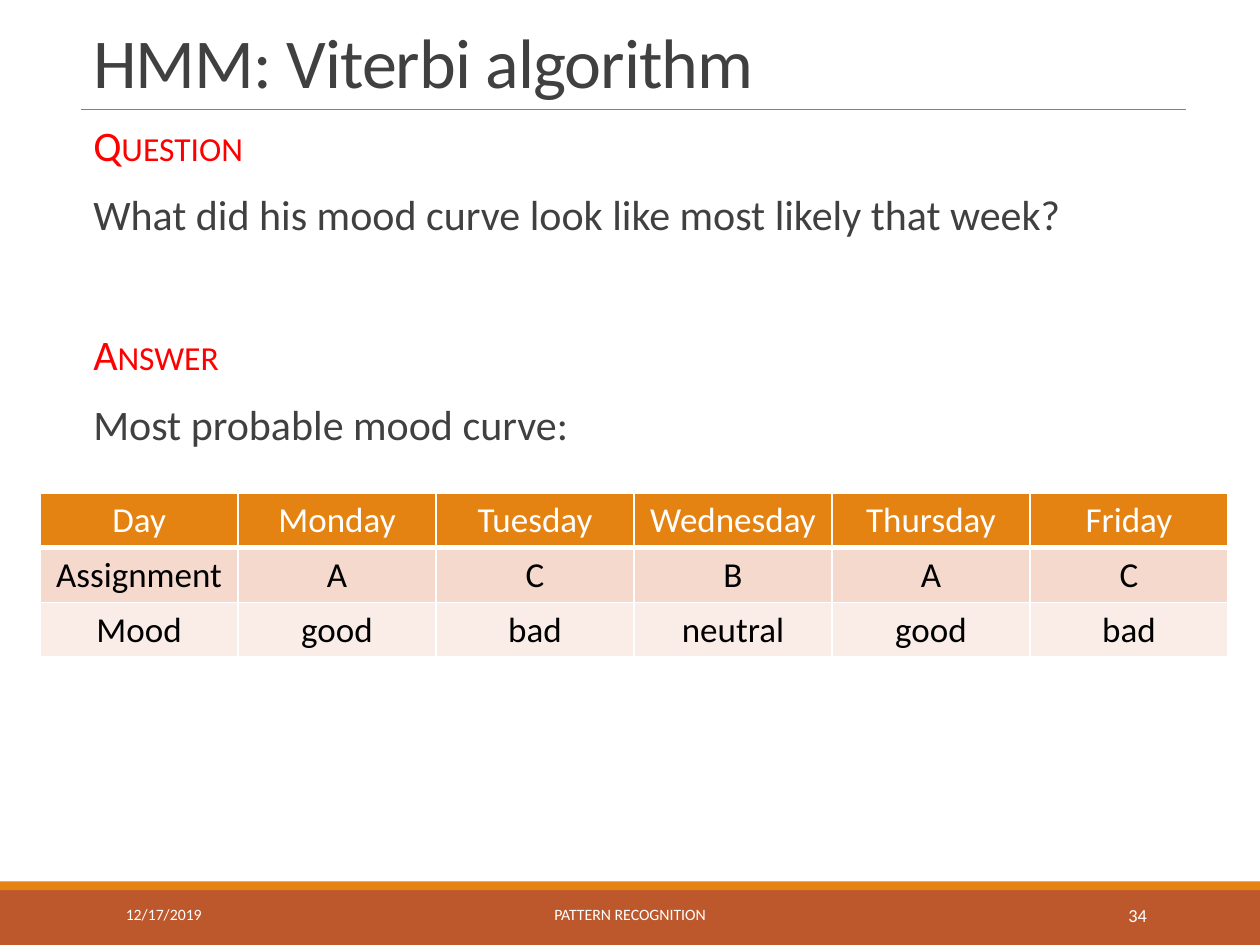
from lxml import etree
from pptx import Presentation
from pptx.dml.color import RGBColor
from pptx.enum import shapes, text
from pptx.oxml import ns
from pptx.util import Pt

FONT = "Calibri"
WHITE = RGBColor(0xFF, 0xFF, 0xFF)
BLACK = RGBColor(0, 0, 0)
RED = RGBColor(0xFF, 0, 0)
DARK_GREY = RGBColor(0x40, 0x40, 0x40)
RULE_GREY = RGBColor(0x80, 0x80, 0x80)
ORANGE = RGBColor(0xE4, 0x83, 0x12)
RUST = RGBColor(0xBD, 0x58, 0x2C)
ROW_FILLS = (ORANGE, RGBColor(0xF5, 0xD9, 0xCC), RGBColor(0xFA, 0xED, 0xE7))

SLIDE_WIDTH, SLIDE_HEIGHT = 720, 540
LEFT, CONTENT_WIDTH = 46.08, 631.44
RULE_TOP = 62.64
FOOTER_TOP, STRIPE_HEIGHT = 508.32, 4.6

MOOD_TABLE = (
    ("Day", "Monday", "Tuesday", "Wednesday", "Thursday", "Friday"),
    ("Assignment", "A", "C", "B", "A", "C"),
    ("Mood", "good", "bad", "neutral", "good", "bad"),
)
COLUMN_WIDTH, ROW_HEIGHT = 113.14, 31.2


def place(shape, left, top, width, height):
    shape.left, shape.top = Pt(left), Pt(top)
    shape.width, shape.height = Pt(width), Pt(height)


def add_run(paragraph, words, size, color):
    run = paragraph.add_run()
    run.text = words
    run.font.name = FONT
    run.font.size = Pt(size)
    run.font.bold = False
    run.font.color.rgb = color
    return run


def set_title(title, words):
    place(title, LEFT, 9.36, CONTENT_WIDTH, 53.28)
    frame = title.text_frame
    frame.auto_size = text.MSO_AUTO_SIZE.NONE
    frame.vertical_anchor = text.MSO_ANCHOR.BOTTOM
    paragraph = frame.paragraphs[0]
    paragraph.alignment = text.PP_ALIGN.LEFT
    paragraph.line_spacing = 0.85
    run = add_run(paragraph, words, 40, DARK_GREY)
    run.font._element.set("spc", "-50")


def set_body(body, lines):
    """Fill the body with (words, is_heading, space_before) lines."""
    place(body, LEFT, 67.68, CONTENT_WIDTH, 428.4)
    frame = body.text_frame
    frame.auto_size = text.MSO_AUTO_SIZE.NONE
    frame.margin_left = frame.margin_right = 0
    for index, (words, is_heading, space_before) in enumerate(lines):
        paragraph = frame.add_paragraph() if index else frame.paragraphs[0]
        properties = paragraph._p.get_or_add_pPr()
        properties.set("marL", str(Pt(7.2)))
        properties.set("indent", "0")
        etree.SubElement(properties, ns.qn("a:buNone"))
        paragraph.line_spacing = 0.9
        paragraph.space_before = Pt(space_before)
        paragraph.space_after = Pt(2)
        run = add_run(paragraph, words, 24, RED if is_heading else DARK_GREY)
        if is_heading:
            run.font._element.set("cap", "small")


def add_bar(slide, top, height, color):
    bar = slide.shapes.add_shape(
        shapes.MSO_SHAPE.RECTANGLE, 0, Pt(top), Pt(SLIDE_WIDTH), Pt(height))
    bar.shadow.inherit = False
    bar.fill.solid()
    bar.fill.fore_color.rgb = color
    bar.line.fill.background()


def add_title_rule(slide):
    rule = slide.shapes.add_connector(
        shapes.MSO_CONNECTOR.STRAIGHT, Pt(LEFT), Pt(RULE_TOP),
        Pt(LEFT + CONTENT_WIDTH), Pt(RULE_TOP))
    rule.line.color.rgb = RULE_GREY
    rule.line.width = Pt(0.5)
    etree.SubElement(rule._element.spPr, ns.qn("a:effectLst"))


def add_footer_text(slide, words, left, width, size, alignment):
    footer = slide.shapes.add_textbox(
        Pt(left), Pt(FOOTER_TOP), Pt(width), Pt(28.8))
    frame = footer.text_frame
    frame.word_wrap = True
    frame.vertical_anchor = text.MSO_ANCHOR.MIDDLE
    paragraph = frame.paragraphs[0]
    paragraph.alignment = alignment
    add_run(paragraph, words, size, WHITE)


def add_border(cell, side, width):
    border = etree.SubElement(
        cell._tc.get_or_add_tcPr(), ns.qn(f"a:ln{side}"), w=str(Pt(width)))
    fill = etree.SubElement(border, ns.qn("a:solidFill"))
    etree.SubElement(fill, ns.qn("a:srgbClr"), val=str(WHITE))


def add_mood_table(slide):
    row_count, column_count = len(MOOD_TABLE), len(MOOD_TABLE[0])
    table = slide.shapes.add_table(
        row_count, column_count, Pt(22.9), Pt(281.8),
        Pt(COLUMN_WIDTH * column_count), Pt(ROW_HEIGHT * row_count)).table
    table.first_row = table.horz_banding = False
    for column in table.columns:
        column.width = Pt(COLUMN_WIDTH)
    for row_index, (row, fill) in enumerate(zip(MOOD_TABLE, ROW_FILLS)):
        is_header = row_index == 0
        table.rows[row_index].height = Pt(ROW_HEIGHT)
        for column_index, words in enumerate(row):
            cell = table.cell(row_index, column_index)
            for side in "LRTB":
                add_border(cell, side, 3 if is_header and side == "B" else 1)
            cell.fill.solid()
            cell.fill.fore_color.rgb = fill
            if not is_header:
                cell.vertical_anchor = text.MSO_ANCHOR.MIDDLE
            paragraph = cell.text_frame.paragraphs[0]
            paragraph.alignment = text.PP_ALIGN.CENTER
            add_run(paragraph, words, 20, WHITE if is_header else BLACK)


def main():
    deck = Presentation()
    deck.slide_width, deck.slide_height = Pt(SLIDE_WIDTH), Pt(SLIDE_HEIGHT)
    slide = deck.slides.add_slide(deck.slide_layouts[1])

    add_bar(slide, FOOTER_TOP, SLIDE_HEIGHT - FOOTER_TOP, RUST)
    add_bar(slide, FOOTER_TOP - STRIPE_HEIGHT, STRIPE_HEIGHT + 0.4, ORANGE)
    add_title_rule(slide)
    set_title(slide.shapes.title, "HMM: Viterbi algorithm")
    set_body(slide.placeholders[1], (
        ("Question", True, 0),
        ("What did his mood curve look like most likely that week?", False, 12),
        ("Answer", True, 52),
        ("Most probable mood curve:", False, 12),
    ))
    add_footer_text(slide, "12/17/2019", 64.8, 146.16, 9, text.PP_ALIGN.LEFT)
    add_footer_text(slide, "PATTERN RECOGNITION", 217.44, 285.12, 9,
                    text.PP_ALIGN.CENTER)
    add_footer_text(slide, "34", 584.64, 77.76, 10.5, text.PP_ALIGN.RIGHT)
    add_mood_table(slide)

    deck.save("out.pptx")


if __name__ == "__main__":
    main()
